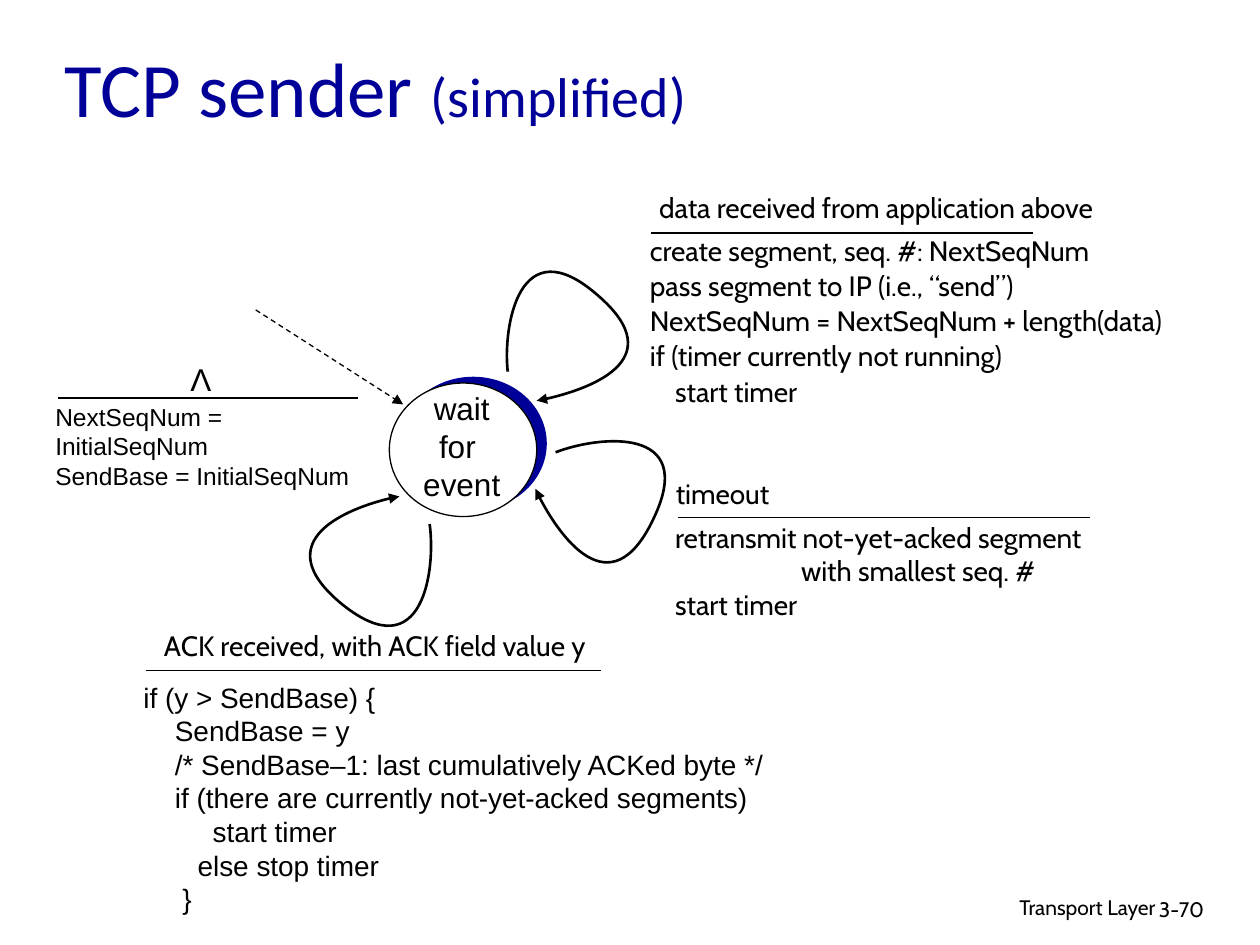
from lxml.etree import SubElement
from pptx import Presentation
from pptx.dml.color import RGBColor
from pptx.enum.dml import MSO_LINE
from pptx.enum.shapes import MSO_CONNECTOR, MSO_SHAPE
from pptx.enum.text import MSO_ANCHOR, MSO_AUTO_SIZE, PP_ALIGN
from pptx.oxml.ns import qn
from pptx.util import Inches, Pt

COLUMNS, ROWS = 100, 75
BLACK, WHITE, NAVY = "000000", "FFFFFF", "000099"
LEFT, CENTER, RIGHT = PP_ALIGN.LEFT, PP_ALIGN.CENTER, PP_ALIGN.RIGHT


def color(value):
    return RGBColor.from_string(value)


def write(paragraph, text, size=16, font="Cabin", ink=BLACK, align=LEFT,
          indent=0, spacing=None):
    run = paragraph.add_run()
    run.text = text
    run.font.size = Pt(size)
    run.font.name = font
    run.font.color.rgb = color(ink)
    paragraph.alignment = align
    if spacing:
        paragraph.line_spacing = spacing
    if indent:
        properties = paragraph._p.get_or_add_pPr()
        properties.set("marL", str(Inches(indent)))
        properties.set("indent", "0")


class Diagram:
    def __init__(self):
        self.deck = Presentation()
        self.deck.slide_width = Inches(10)
        self.deck.slide_height = Inches(7.5)
        self.slide = self.deck.slides.add_slide(self.deck.slide_layouts[5])
        self.shapes = self.slide.shapes

    def grid(self, *places):
        units = (self.deck.slide_width / COLUMNS, self.deck.slide_height / ROWS)
        return [round(place * units[i % 2]) for i, place in enumerate(places)]

    def title(self, box, *parts):
        heading = self.shapes.title
        heading.left, heading.top, heading.width, heading.height = self.grid(*box)
        frame = heading.text_frame
        frame.auto_size = MSO_AUTO_SIZE.NONE
        frame.vertical_anchor = MSO_ANCHOR.MIDDLE
        for text, size in parts:
            write(frame.paragraphs[0], text, size=size, font="Calibri", ink=NAVY)

    def text(self, box, lines, **style):
        frame = self.shapes.add_textbox(*self.grid(*box)).text_frame
        frame.word_wrap = style.get("align") != CENTER
        for number, line in enumerate(lines):
            words, indent = line if isinstance(line, tuple) else (line, 0)
            paragraph = frame.add_paragraph() if number else frame.paragraphs[0]
            write(paragraph, words, indent=indent, **style)

    def ellipse(self, box, fill, outline=None):
        oval = self.shapes.add_shape(MSO_SHAPE.OVAL, *self.grid(*box))
        oval.shadow.inherit = False
        oval.fill.solid()
        oval.fill.fore_color.rgb = color(fill)
        if outline:
            self.stroke(oval.line, 0.75)
        else:
            oval.line.fill.background()

    def stroke(self, line, width, arrow=False):
        line.color.rgb = color(BLACK)
        line.width = Pt(width)
        if arrow:
            SubElement(line._get_or_add_ln(), qn("a:tailEnd"), type="triangle")

    def line(self, start, end, dashed=False, arrow=False):
        rule = self.shapes.add_connector(MSO_CONNECTOR.STRAIGHT,
                                         *self.grid(*start, *end))
        if dashed:
            rule.line.dash_style = MSO_LINE.DASH
        self.stroke(rule.line, 0.75, arrow)
        SubElement(rule._element.spPr, qn("a:effectLst"))

    def loop(self, start, *controls):
        builder = self.shapes.build_freeform(*self.grid(*start))
        builder.add_line_segments([self.grid(*point) for point in controls],
                                  close=False)
        curve = builder.convert_to_shape()
        curve.shadow.inherit = False
        curve.fill.background()
        self.stroke(curve.line, 1.5, arrow=True)
        segments = list(curve._element.iter(qn("a:lnTo")))
        for first in range(0, len(segments), 3):
            bend = segments[first]
            bend.tag = qn("a:cubicBezTo")
            for other in segments[first + 1:first + 3]:
                bend.append(other[0])
                other.getparent().remove(other)

    def transition(self, event, event_box, rule, actions, action_box,
                   event_style, action_style):
        self.text(action_box, actions, **action_style)
        self.text(event_box, [event], align=CENTER, **event_style)
        left, right, row = rule
        self.line((left, row), (right, row))


def main():
    diagram = Diagram()
    diagram.title((4.1, 2, 84.6, 9.8), ("TCP sender ", 44), ("(simplified)", 32))
    diagram.text((61, 70.5, 31.7, 3.1), ["Transport Layer"], size=12, align=RIGHT)
    diagram.text((91, 70.7, 7.4, 3), ["3-70"], size=12)

    diagram.ellipse((31.7, 29.9, 11.7, 10.6), NAVY)
    diagram.ellipse((30.9, 30.4, 11.7, 10.6), WHITE, BLACK)
    diagram.text((32.6, 30.4, 8.1, 10), ["wait", "for ", "event"],
                 size=18, font="Arial", align=CENTER)
    diagram.line((20.3, 24.6), (32, 32.1), dashed=True, arrow=True)

    cabin, arial = {}, {"font": "Arial"}
    diagram.transition(
        "Λ", (14.1, 28.1, 3.7, 4), (4.6, 28.4, 31.6),
        ["NextSeqNum = InitialSeqNum", "SendBase = InitialSeqNum"],
        (3.4, 31.4, 27.8, 5.7),
        {"size": 18, "font": "Arial"}, {"size": 14, "font": "Arial"})
    diagram.transition(
        "data received from application above",
        (50.4, 14.6, 38.3, 3.7), (51.7, 82, 18.5),
        ["create segment, seq. #: NextSeqNum",
         "pass segment to IP (i.e., “send”)",
         "NextSeqNum = NextSeqNum + length(data)",
         "if (timer currently not running)",
         ("start timer", 0.2)],
        (50.6, 17.9, 46.2, 17.7), cabin, {"spacing": 1.05})
    diagram.transition(
        "timeout", (52.6, 37.3, 9.5, 3.7), (53.8, 86.5, 41.1),
        ["retransmit not-yet-acked segment", ("with smallest seq. #", 1),
         "start timer"],
        (52.6, 40.8, 36, 9), cabin, cabin)
    diagram.transition(
        "ACK received, with ACK field value y ",
        (10.9, 49.4, 38.2, 3.7), (11.6, 47.7, 53.2),
        ["if (y > SendBase) {",
         ("SendBase = y", 0.25),
         ("/* SendBase–1: last cumulatively ACKed byte */", 0.25),
         ("if (there are currently not-yet-acked segments)", 0.25),
         ("start timer", 0.55),
         ("else stop timer", 0.43),
         ("}", 0.31)],
        (10.4, 53.5, 51.4, 19.7), cabin, arial)

    diagram.loop((40.3, 29.5), (39.9, 25.9), (41.2, 18), (47.4, 23.4),
                 (53.6, 28.7), (45.2, 31.4), (42.6, 31.8))
    diagram.loop((44.1, 35.9), (47.4, 34.6), (55.4, 33.7), (51.9, 41.1),
                 (48.4, 48.6), (43.5, 41.2), (42.5, 38.8))
    diagram.loop((34.1, 41.6), (34.6, 45.2), (33.6, 53.1), (27.2, 48),
                 (20.8, 42.8), (29.1, 39.8), (31.7, 39.4))
    diagram.deck.save("out.pptx")


if __name__ == "__main__":
    main()
